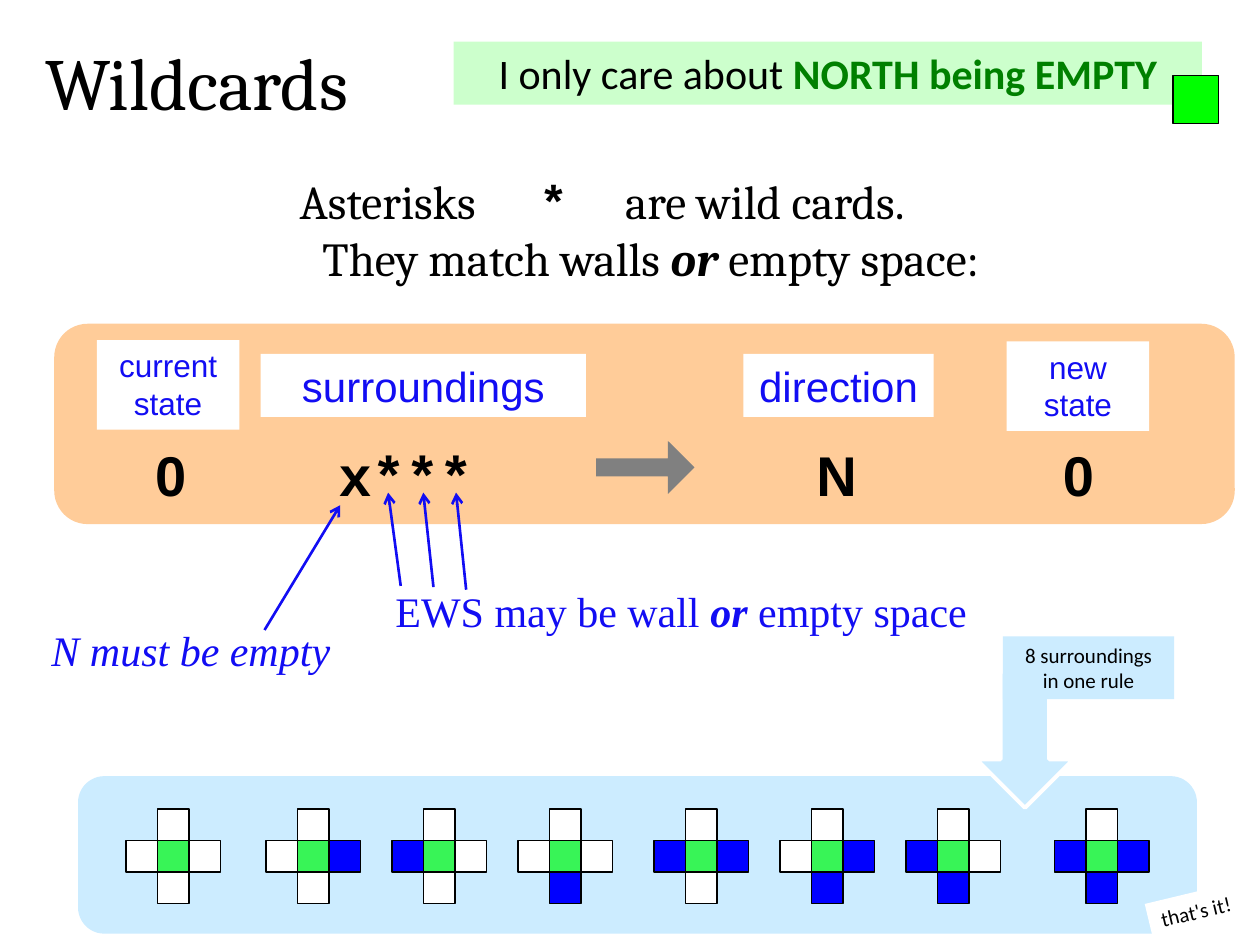
from dataclasses import dataclass

from lxml.etree import SubElement
from pptx import Presentation
from pptx.dml.color import RGBColor
from pptx.enum.shapes import MSO_CONNECTOR, MSO_SHAPE
from pptx.enum.text import MSO_ANCHOR, MSO_AUTO_SIZE, PP_ALIGN
from pptx.oxml.ns import qn
from pptx.util import Pt

COLORS = {
    "black": "000000", "white": "FFFFFF", "ink": "120DF3", "sky": "CCECFF",
    "peach": "FFCC99", "mint": "CCFFCC", "forest": "008000", "lime": "00FF00",
    "robot": "38F457", "wall": "0000FF", "gray": "808080",
}
CELL = 18
CROSS_TOP = 462.3
DIRECTIONS = {"N": (1, 0), "W": (0, 1), "E": (2, 1), "S": (1, 2)}


@dataclass
class Box:
    left: float
    top: float
    width: float
    height: float


@dataclass
class Style:
    font: str
    size: float
    color: str = "black"
    bold: bool = False
    italic: bool = False


@dataclass
class Label:
    box: Box
    runs: list[tuple[str, Style]]
    fill: str | None = None
    align: PP_ALIGN = PP_ALIGN.CENTER
    wrap: bool = True
    rotation: float = 0


@dataclass
class Cross:
    left: float
    walls: str


@dataclass
class Arrow:
    start: tuple[float, float]
    end: tuple[float, float]


def rgb(name: str) -> RGBColor:
    return RGBColor.from_string(COLORS[name])


def add_shape(shapes, kind, box: Box, fill: str, line: str | None = None, line_width=0.75):
    shape = shapes.add_shape(kind, Pt(box.left), Pt(box.top), Pt(box.width), Pt(box.height))
    shape.shadow.inherit = False
    shape.fill.solid()
    shape.fill.fore_color.rgb = rgb(fill)
    if line:
        shape.line.color.rgb = rgb(line)
        shape.line.width = Pt(line_width)
    else:
        shape.line.fill.background()
    return shape


def add_runs(paragraph, runs: list[tuple[str, Style]], align: PP_ALIGN) -> None:
    paragraph.alignment = align
    for text, style in runs:
        run = paragraph.add_run()
        run.text = text
        font = run.font
        font.name, font.size = style.font, Pt(style.size)
        font.bold, font.italic = style.bold, style.italic
        font.color.rgb = rgb(style.color)


def add_label(shapes, label: Label):
    box = label.box
    if label.fill:
        shape = add_shape(shapes, MSO_SHAPE.RECTANGLE, box, label.fill)
    else:
        shape = shapes.add_textbox(Pt(box.left), Pt(box.top), Pt(box.width), Pt(box.height))
    shape.rotation = label.rotation
    text_frame = shape.text_frame
    text_frame.word_wrap = label.wrap
    text_frame.vertical_anchor = MSO_ANCHOR.TOP
    add_runs(text_frame.paragraphs[0], label.runs, label.align)
    return shape


def add_cross(shapes, cross: Cross) -> None:
    """Draw a robot cell with its four neighbours as one group."""
    group = shapes.add_group_shape()
    cells = [(*place, "wall" if name in cross.walls else "white")
             for name, place in DIRECTIONS.items()]
    for column, row, fill in cells + [(1, 1, "robot")]:
        box = Box(cross.left + column * CELL, CROSS_TOP + row * CELL, CELL, CELL)
        add_shape(group.shapes, MSO_SHAPE.RECTANGLE, box, fill, "black")


def add_arrow(shapes, arrow: Arrow) -> None:
    connector = shapes.add_connector(
        MSO_CONNECTOR.STRAIGHT, *(Pt(value) for value in arrow.start + arrow.end))
    connector.line.color.rgb = rgb("ink")
    connector.line.width = Pt(1.5)
    SubElement(connector.line._get_or_add_ln(), qn("a:tailEnd"), type="arrow")
    SubElement(connector._element.spPr, qn("a:effectLst"))


def add_title(slide) -> None:
    title = slide.shapes.title
    title.left, title.top, title.width, title.height = Pt(18.7), Pt(17.3), Pt(234), Pt(57.6)
    title.text_frame.auto_size = MSO_AUTO_SIZE.NONE
    title.text_frame.vertical_anchor = MSO_ANCHOR.TOP
    add_runs(title.text_frame.paragraphs[0], [("Wildcards", Style("Cambria", 42))], PP_ALIGN.LEFT)


def add_explanation(shapes) -> None:
    plain = Style("Cambria", 27)
    star = Style("Courier New", 27, bold=True)
    emphasis = Style("Cambria", 27, bold=True, italic=True)
    shape = add_label(shapes, Label(
        Box(149.8, 95, 444.2, 72.7),
        [("Asterisks\t", plain), ("*\t", star), ("are wild cards.", plain)],
        align=PP_ALIGN.LEFT))
    properties = shape.text_frame.paragraphs[0]._p.get_or_add_pPr()
    properties.set("marL", str(Pt(14.4)))
    tabs = SubElement(properties, qn("a:tabLst"))
    for position in (137, 186):
        SubElement(tabs, qn("a:tab"), pos=str(Pt(position)), algn="l")
    add_runs(shape.text_frame.add_paragraph(),
             [("They match walls ", plain), ("or", emphasis), (" empty space:", plain)],
             PP_ALIGN.CENTER)


NOTE = Style("Times New Roman", 24, "ink")
NOTE_ITALIC = Style("Times New Roman", 24, "ink", italic=True)
NOTE_STRONG = Style("Times New Roman", 24, "ink", bold=True, italic=True)
VALUE = Style("Arial", 32, bold=True)
PATTERN = Style("Courier New", 32, bold=True)
HEADING = Style("Arial", 24, "ink")
SMALL_HEADING = Style("Arial", 18, "ink")
BANNER = Style("Calibri", 24)
BANNER_STRONG = Style("Calibri", 24, "forest", bold=True)
SMALL = Style("Calibri", 12)

BANNER_LABEL = Label(Box(259.2, 23.8, 427.7, 36),
                     [("I only care about ", BANNER), ("NORTH being EMPTY", BANNER_STRONG)], "mint")
CLOSING_LABEL = Label(Box(655.9, 509.8, 55.4, 21.6), [("that's it!", SMALL)], "white",
                      PP_ALIGN.LEFT, wrap=False, rotation=346.5)
COUNT_LABEL = Label(Box(573.1, 363.6, 97.9, 36), [("8 surroundings in one rule", SMALL)], "sky")
RULE_LABELS = [
    Label(Box(67.7, 248.4, 59.8, 46), [("0", VALUE)]),
    Label(Box(177.8, 248.4, 108, 46), [("x***", PATTERN)]),
    Label(Box(562.3, 248.4, 108, 46), [("0", VALUE)]),
    Label(Box(424.1, 248.4, 108, 46), [("N", VALUE)]),
    Label(Box(55.4, 194.4, 81.4, 51.1), [("current state", SMALL_HEADING)], "white"),
    Label(Box(149, 202.3, 185.8, 36), [("surroundings", HEADING)], "white"),
    Label(Box(424.8, 202.3, 108.7, 36), [("direction", HEADING)], "white"),
    Label(Box(575.3, 195.1, 81.4, 51.1), [("new state", SMALL_HEADING)], "white"),
]
NOTE_LABELS = [
    Label(Box(22.3, 353.5, 188.6, 36.7), [("N must be empty", NOTE_ITALIC)],
          align=PP_ALIGN.LEFT, wrap=False),
    Label(Box(218.9, 331.2, 426.2, 36.7),
          [("EWS may be wall ", NOTE), ("or ", NOTE_STRONG), ("empty space", NOTE)],
          align=PP_ALIGN.LEFT),
]
CROSSES = [
    Cross(72, ""), Cross(152, "E"), Cross(224, "W"), Cross(296, "S"),
    Cross(373.7, "EW"), Cross(445.7, "ES"), Cross(517.7, "WS"), Cross(602.6, "EWS"),
]
ARROWS = [
    Arrow((229, 334.8), (221.8, 281.5)), Arrow((247.7, 335.5), (241.9, 281.5)),
    Arrow((266.4, 337), (260.6, 281.5)), Arrow((151.2, 360), (194.4, 288.7)),
]


def main() -> None:
    presentation = Presentation()
    presentation.slide_width, presentation.slide_height = Pt(720), Pt(540)
    slide = presentation.slides.add_slide(presentation.slide_layouts[5])
    shapes = slide.shapes
    add_title(slide)
    add_shape(shapes, MSO_SHAPE.ROUNDED_RECTANGLE, Box(44.6, 443.5, 639.4, 90), "sky")
    add_explanation(shapes)
    add_label(shapes, BANNER_LABEL)
    add_shape(shapes, MSO_SHAPE.RECTANGLE, Box(670.3, 43.2, 25.9, 27.4), "lime", "black")
    add_label(shapes, CLOSING_LABEL)
    for cross in CROSSES:
        add_cross(shapes, cross)
    add_shape(shapes, MSO_SHAPE.DOWN_ARROW, Box(558, 383.8, 55.4, 77.8), "sky", "white", 2.25)
    add_shape(shapes, MSO_SHAPE.ROUNDED_RECTANGLE, Box(31, 185, 674.6, 114.5), "peach")
    for label in RULE_LABELS + NOTE_LABELS:
        add_label(shapes, label)
    pointer = add_shape(shapes, MSO_SHAPE.RIGHT_ARROW, Box(340.6, 252, 56.2, 30.2), "gray")
    pointer.adjustments[0] = 0.34
    for arrow in ARROWS:
        add_arrow(shapes, arrow)
    add_label(shapes, COUNT_LABEL)
    presentation.save("out.pptx")


if __name__ == "__main__":
    main()
